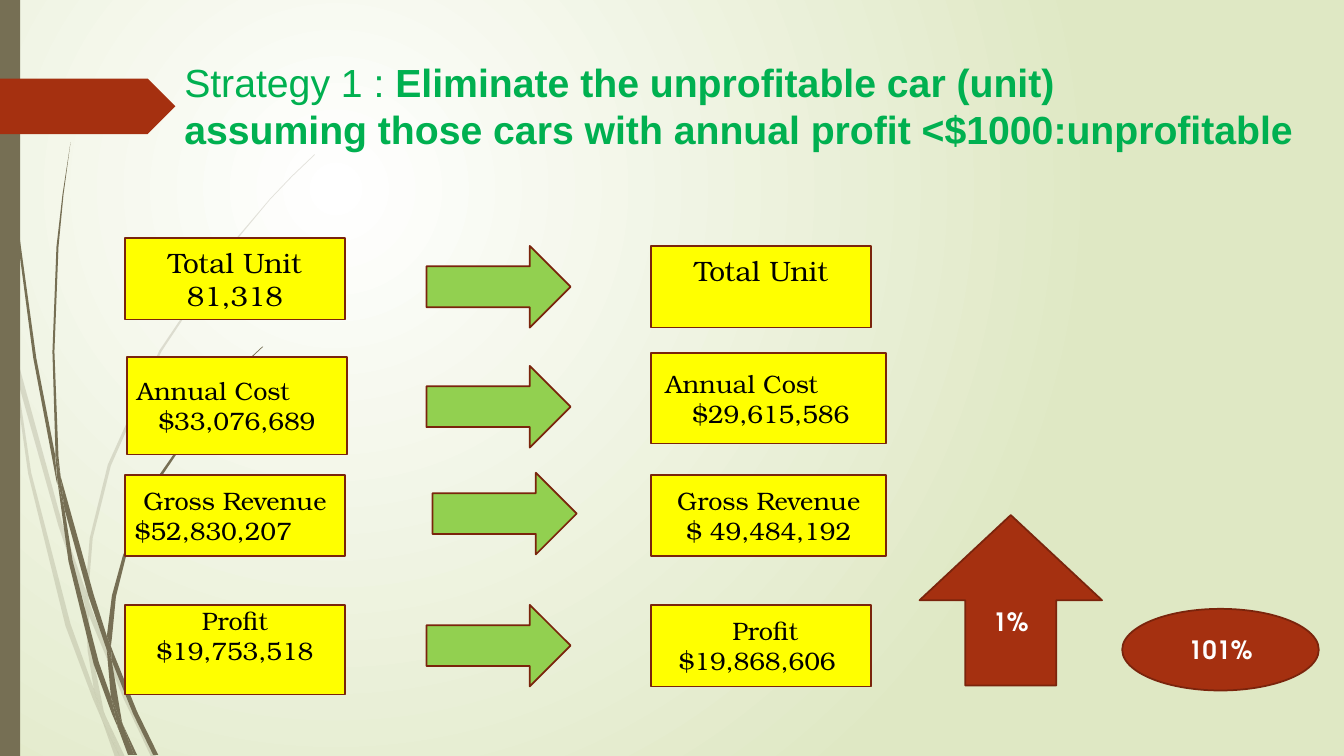
from lxml import etree
from pptx import Presentation
from pptx.dml.color import RGBColor
from pptx.enum.shapes import MSO_SHAPE
from pptx.enum.text import MSO_ANCHOR, PP_ALIGN
from pptx.oxml import parse_xml
from pptx.oxml.ns import nsdecls, qn
from pptx.util import Inches, Pt

RECTANGLE, OVAL = MSO_SHAPE.RECTANGLE, MSO_SHAPE.OVAL
RIGHT_ARROW, UP_ARROW = MSO_SHAPE.RIGHT_ARROW, MSO_SHAPE.UP_ARROW
PENTAGON = MSO_SHAPE.PENTAGON
TOP, MIDDLE = MSO_ANCHOR.TOP, MSO_ANCHOR.MIDDLE
LEFT, CENTER = PP_ALIGN.LEFT, PP_ALIGN.CENTER

OLIVE, RED, DARK_RED = "766F54", "A53010", "7A240C"
YELLOW, LIME, GREEN = "FFFF00", "92D050", "00B050"
BLACK, WHITE = "000000", "FFFFFF"
TITLE_FONT, BOX_FONT, BADGE_FONT = "Arial", "TeX Gyre Bonum", "TeX Gyre Adventor"

BEFORE_LEFT, AFTER_LEFT, ARROW_LEFT = 1.24, 6.46, 4.23
BOX_WIDTH, WIDE_BOX, BOX_HEIGHT = 2.18, 2.33, 0.81
ARROW_WIDTH = 1.43
GRASS_UNIT = Inches(0.01)

LIGHT_GRASS = [
    [(11, 350), (9, 322), (0, 282), (0, 299), (10, 344)],
    [(58, 522), (84, 599), (85, 586), (62, 520), (14, 345), (17, 376)],
    [(92, 607), (88, 596), (88, 610), (123, 694), (150, 751), (155, 751), (127, 692)],
    [(119, 751), (124, 751), (105, 711)],
    [(93, 683), (70, 619), (31, 469), (17, 376), (11, 350), (28, 470), (65, 621),
     (92, 693), (101, 714), (99, 707)],
    [(84, 599), (87, 646), (93, 683), (96, 692), (105, 711), (103, 706), (91, 646),
     (88, 610), (88, 608)],
    [(88, 584), (92, 534), (110, 462), (160, 349), (229, 245), (268, 198), (290, 175),
     (312, 154), (312, 153), (289, 175), (268, 197), (228, 244), (158, 348), (107, 461),
     (89, 534), (85, 584), (85, 586), (88, 596)],
    [(101, 714), (114, 751), (119, 751)],
    [(88, 608), (88, 610), (88, 596), (85, 586), (84, 599)],
    [(96, 692), (93, 683), (99, 707), (101, 714), (119, 751), (105, 711)],
]
DARK_GRASS = [
    [(7, 110), (17, 233), (33, 355), (56, 477), (57, 481), (55, 457), (55, 453),
     (36, 355), (19, 232), (8, 109), (5, 48), (4, 0), (3, 0), (4, 48)],
    [(88, 592), (106, 645), (106, 633), (106, 631), (93, 590), (60, 472), (64, 505)],
    [(113, 649), (110, 641), (111, 656), (132, 708), (152, 749), (157, 749), (136, 706)],
    [(110, 691), (98, 657), (72, 556), (64, 505), (57, 477), (68, 557), (93, 659),
     (111, 708), (117, 722), (116, 717)],
    [(60, 472), (58, 453), (54, 349), (58, 245), (63, 193), (70, 141), (62, 193),
     (56, 245), (52, 349), (55, 449)],
    [(133, 749), (136, 749), (122, 719)],
    [(57, 477), (64, 505), (60, 472), (55, 449), (55, 453)],
    [(111, 633), (115, 592), (125, 552), (158, 476), (205, 406), (231, 374), (245, 359),
     (261, 344), (260, 344), (245, 358), (231, 373), (204, 405), (156, 474), (122, 551),
     (111, 591), (106, 631), (110, 641)],
    [(117, 722), (127, 749), (131, 749)],
    [(106, 645), (110, 691), (116, 706), (122, 719), (121, 716), (111, 656), (109, 651)],
    [(106, 645), (109, 651), (111, 656), (110, 641), (106, 631), (106, 633)],
    [(116, 706), (110, 691), (116, 717), (117, 722), (130, 749), (133, 749), (122, 719)],
]

METRIC_BOXES = [
    (BEFORE_LEFT, 2.36, BOX_WIDTH, BOX_HEIGHT, 20,
     [("Total Unit", CENTER), ("81,318", CENTER)], {}),
    (AFTER_LEFT, 2.44, BOX_WIDTH, BOX_HEIGHT, 20,
     [("Total Unit", CENTER)], {"vertical_anchor": TOP, "margin_top": Inches(0.07)}),
    (1.26, 3.54, BOX_WIDTH, 0.97, 18,
     [("Annual Cost", LEFT), ("$33,076,689", CENTER)], {}),
    (AFTER_LEFT, 3.5, WIDE_BOX, 0.9, 18,
     [("Annual Cost", LEFT), ("$29,615,586", CENTER)], {"margin_left": Inches(0.14)}),
    (BEFORE_LEFT, 4.71, BOX_WIDTH, BOX_HEIGHT, 18,
     [("Gross Revenue", CENTER), ("$52,830,207", LEFT)], {}),
    (AFTER_LEFT, 4.71, WIDE_BOX, BOX_HEIGHT, 18,
     [("Gross Revenue", CENTER), ("$ 49,484,192", CENTER)], {}),
    (BEFORE_LEFT, 6, BOX_WIDTH, 0.89, 18,
     [("Profit", CENTER), ("$19,753,518", CENTER)],
     {"vertical_anchor": TOP, "margin_top": 0}),
    (AFTER_LEFT, 6, BOX_WIDTH, BOX_HEIGHT, 18,
     [(" Profit", CENTER), ("$19,868,606 ", CENTER)], {}),
]
ARROWS = [(ARROW_LEFT, 2.44), (ARROW_LEFT, 3.63), (4.29, 4.69), (ARROW_LEFT, 6)]
BADGES = [
    (UP_ARROW, (9.12, 5.11, 1.81, 1.69), "1%"),
    (OVAL, (11.13, 6.04, 1.95, BOX_HEIGHT), "101%"),
]


def color(value):
    """Return the colour for a hex string."""
    return RGBColor.from_string(value)


def apply_format(target, values):
    """Set every attribute in a dict of format values."""
    for name, value in values.items():
        setattr(target, name, value)


def paint(shape, fill, line=None):
    """Give a shape a flat fill and an optional outline."""
    shape.shadow.inherit = False
    shape.fill.solid()
    shape.fill.fore_color.rgb = color(fill)
    if line:
        shape.line.color.rgb = color(line)
        shape.line.width = Pt(1.25)
    else:
        shape.line.fill.background()


def add_run(paragraph, text, font, size, text_color, bold=False):
    """Append a formatted run to a paragraph."""
    run = paragraph.add_run()
    run.text = text
    apply_format(run.font, {"name": font, "size": Pt(size), "bold": bold})
    run.font.color.rgb = color(text_color)


def add_block(slide, kind, box, fill, line=None):
    """Add a painted preset shape at a box given in inches."""
    shape = slide.shapes.add_shape(kind, *map(Inches, box))
    paint(shape, fill, line)
    return shape


def write_lines(shape, lines, font, size, text_color, bold=False, frame_format=None):
    """Write aligned lines into a shape, one paragraph each."""
    frame = shape.text_frame
    apply_format(frame, {"word_wrap": True, "vertical_anchor": MIDDLE, **(frame_format or {})})
    for index, (text, alignment) in enumerate(lines):
        paragraph = frame.add_paragraph() if index else frame.paragraphs[0]
        paragraph.alignment = alignment
        add_run(paragraph, text, font, size, text_color, bold)


def add_grass(slide, outline, alpha=100):
    """Add one piece of a grass blade from its outline."""
    builder = slide.shapes.build_freeform(*outline[0], scale=GRASS_UNIT)
    builder.add_line_segments(outline[1:], close=True)
    shape = builder.convert_to_shape()
    paint(shape, OLIVE)
    fill_color = next(shape.element.spPr.iter(qn("a:srgbClr")))
    etree.SubElement(fill_color, qn("a:alpha"), val=str(alpha * 1000))


def set_background(slide):
    """Fill the background with a radial white to pale green gradient."""
    fill = slide.background.fill
    fill.gradient()
    for stop, value, position in zip(fill.gradient_stops, (WHITE, "DFE8C4"), (0, 1)):
        stop.color.rgb = color(value)
        stop.position = position
    linear = next(slide.element.iter(qn("a:lin")))
    linear.getparent().replace(linear, parse_xml(
        f'<a:path {nsdecls("a")} path="circle">'
        '<a:fillToRect l="50000" t="50000" r="100000" b="100000"/></a:path>'))


def add_title(slide):
    """Add the two-line strategy heading."""
    frame = slide.shapes.add_textbox(*map(Inches, (1.73, 0.53, 11.5, 1.04))).text_frame
    frame.word_wrap = True
    first, second = frame.paragraphs[0], frame.add_paragraph()
    for paragraph, text, bold in (
            (first, "Strategy 1 : ", False),
            (first, "Eliminate the unprofitable car (unit)", True),
            (second, "assuming those cars with annual profit <$1000:unprofitable", True)):
        add_run(paragraph, text, TITLE_FONT, 28, GREEN, bold)


def main():
    """Build the slide and save it."""
    presentation = Presentation()
    apply_format(presentation, {"slide_width": Inches(13.33), "slide_height": Inches(7.5)})
    slide = presentation.slides.add_slide(presentation.slide_layouts[6])
    set_background(slide)
    for outline in LIGHT_GRASS:
        add_grass(slide, outline, alpha=20)
    for outline in DARK_GRASS:
        add_grass(slide, outline)
    add_block(slide, RECTANGLE, (0, 0, 0.2, 7.5), OLIVE)
    add_block(slide, PENTAGON, (0, 0.78, 1.74, 0.55), RED)
    add_title(slide)
    for left, top, width, height, size, lines, frame_format in METRIC_BOXES:
        box = add_block(slide, RECTANGLE, (left, top, width, height), YELLOW, DARK_RED)
        write_lines(box, lines, BOX_FONT, size, BLACK, frame_format=frame_format)
    for left, top in ARROWS:
        add_block(slide, RIGHT_ARROW, (left, top, ARROW_WIDTH, BOX_HEIGHT), LIME, DARK_RED)
    for kind, box, text in BADGES:
        badge = add_block(slide, kind, box, RED, DARK_RED)
        write_lines(badge, [(text, CENTER)], BADGE_FONT, 18, WHITE, bold=True)
    presentation.save("out.pptx")


main()
